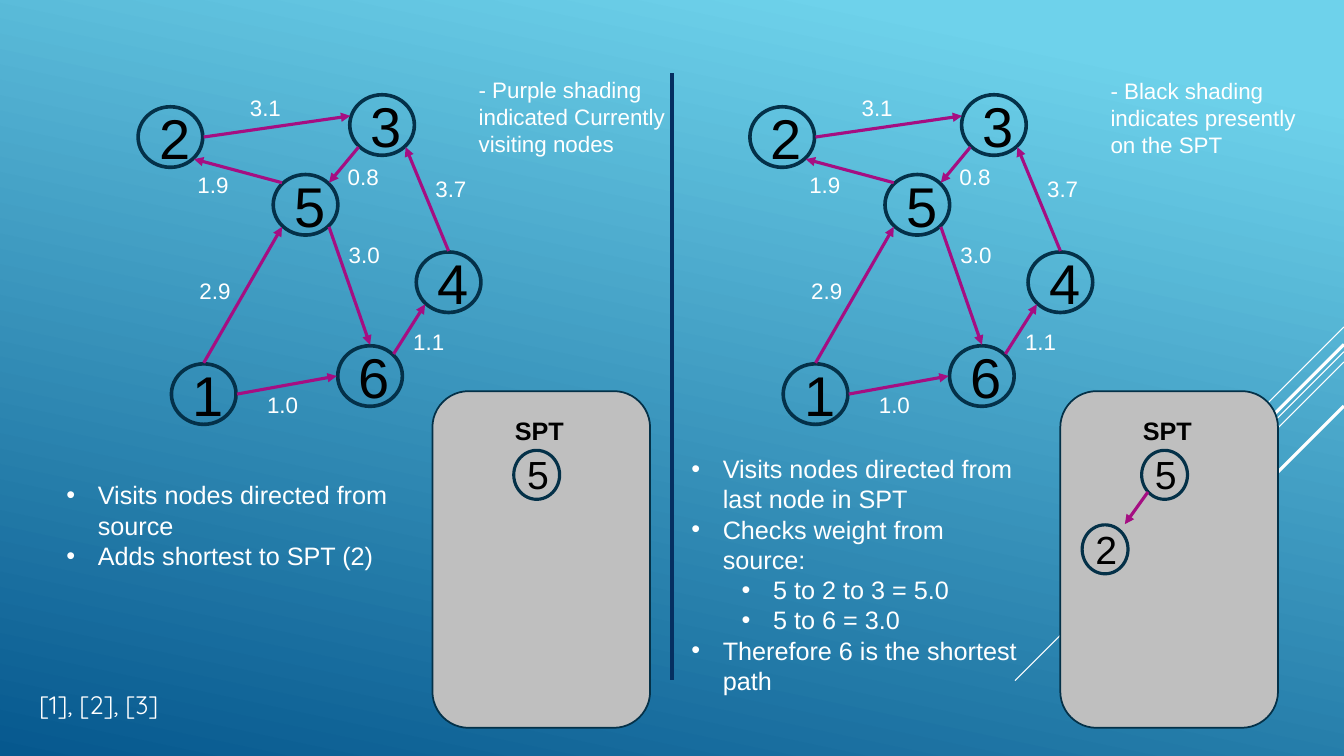
from math import cos, radians, sin

from lxml.etree import SubElement
from pptx import Presentation
from pptx.dml.color import RGBColor
from pptx.enum.shapes import MSO_CONNECTOR, MSO_SHAPE
from pptx.enum.text import MSO_AUTO_SIZE, PP_ALIGN
from pptx.oxml.ns import qn
from pptx.util import Pt

WHITE, BLACK, NAVY, OUTLINE = "FFFFFF", "000000", "052F61", "043148"
PURPLE, GRAY = "A50E82", "BFBFBF"

# Graph layout, relative to the top left of the graph
NODE_W, NODE_H = 47.5, 44.6
NODES = {"1": (23.8, 192.2), "2": (0, 8.6), "3": (151.2, 0),
         "4": (198.7, 112.3), "5": (96.5, 57), "6": (142.6, 179.3)}
# Start node, angle on its rim, end node, angle on its rim (clockwise from right)
EDGES = [("2", 0, "3", 197), ("1", 0, "6", 180), ("1", 270, "5", 135),
         ("4", 270, "3", 45), ("6", 315, "4", 135), ("3", 135, "5", 315),
         ("5", 45, "6", 270), ("5", 225, "2", 45)]
WEIGHTS = {"3.7": (205.9, 54.7), "1.1": (190.1, 164.1), "0.8": (143.3, 46.1),
           "3.0": (144, 101.5), "1.0": (85.7, 208.8), "2.9": (37.4, 127.4),
           "1.9": (36, 51.8), "3.1": (73.4, -3.6)}


def color(hex_text):
    return RGBColor.from_string(hex_text)


def add_text(s, text, x, y, w, h, size=16, font="Arial", fill=WHITE,
             bold=False, align=PP_ALIGN.LEFT, bullets=False):
    """Text is a string, or a list of (level, string) paragraphs."""
    tf = s.shapes.add_textbox(Pt(x), Pt(y), Pt(w), Pt(h)).text_frame
    tf.word_wrap = True
    tf.auto_size = MSO_AUTO_SIZE.SHAPE_TO_FIT_TEXT
    items = [(0, text)] if isinstance(text, str) else text
    for i, (level, line) in enumerate(items):
        p = tf.add_paragraph() if i else tf.paragraphs[0]
        p.level, p.alignment = level, align
        r = p.add_run()
        r.text = line
        r.font.size, r.font.name, r.font.bold = Pt(size), font, bold
        r.font.color.rgb = color(fill)
        if bullets:
            pPr = p._p.get_or_add_pPr()
            pPr.set("marL", str(int(Pt(22.5 + 36 * level))))
            pPr.set("indent", str(int(Pt(-22.5))))
            SubElement(pPr, qn("a:buFont")).set("typeface", "Arial")
            SubElement(pPr, qn("a:buChar")).set("char", "•")


def add_line(s, start, end, stroke=PURPLE, width=2.25, arrow=False):
    sp = s.shapes.add_connector(MSO_CONNECTOR.STRAIGHT,
                                *(Pt(v) for v in (*start, *end)))
    sp.line.color.rgb = color(stroke)
    sp.line.width = Pt(width)
    spPr = sp._element.spPr
    if arrow:
        SubElement(spPr.find(qn("a:ln")), qn("a:tailEnd")).set("type", "triangle")
    SubElement(spPr, qn("a:effectLst"))


def add_outlined(s, kind, x, y, w, h, fill):
    sp = s.shapes.add_shape(kind, Pt(x), Pt(y), Pt(w), Pt(h))
    sp.shadow.inherit = False
    sp.fill.solid()
    sp.fill.fore_color.rgb = color(fill)
    sp.line.color.rgb = color(OUTLINE)
    sp.line.width = Pt(1.25)
    return sp


def add_ring(s, x, y, w, h):
    add_outlined(s, MSO_SHAPE.DONUT, x, y, w, h, NAVY).adjustments[0] = 0.03


def add_backdrop(s):
    fill = s.background.fill
    fill.gradient()
    fill.gradient_angle = 258
    for stop, (position, tone) in zip(fill.gradient_stops,
                                      [(0.1, "6ED2EB"), (1, "06588E")]):
        stop.position = position
        stop.color.rgb = color(tone)
    # Diagonal rays at 45 degrees: top at the right edge, length across, width
    for top, run, width in [(233.5, 72, 0.75), (251.2, 235, 0.75),
                            (258.5, 149, 0.75), (246, 137.5, 2.25),
                            (290, 100, 2.25)]:
        add_line(s, (960, top), (960 - run, top + run), WHITE, width)


def add_graph(s, x, y):
    def rim(node, angle):
        nx, ny = NODES[node]
        a = radians(angle)
        return (x + nx + NODE_W / 2 * (1 + cos(a)),
                y + ny + NODE_H / 2 * (1 + sin(a)))

    for nx, ny in NODES.values():
        add_ring(s, x + nx, y + ny, NODE_W, NODE_H)
    for start, start_angle, end, end_angle in EDGES:
        add_line(s, rim(start, start_angle), rim(end, end_angle), arrow=True)
    for name, (nx, ny) in NODES.items():
        add_text(s, name, x + nx + 8.6, y + ny - 5.2, 31, 55.4, size=40,
                 fill=BLACK, align=PP_ALIGN.CENTER)
    for weight, (wx, wy) in WEIGHTS.items():
        add_text(s, weight, x + wx, y + wy, 47.5, 26.6)


def add_tree_panel(s, x, y, nodes, arrows=()):
    add_outlined(s, MSO_SHAPE.ROUNDED_RECTANGLE, x, y, 155.5, 240.5, GRAY)
    add_text(s, "SPT", x + 51.8, y + 13.7, 51.1, 31, size=18, fill=BLACK, bold=True)
    for name, nx, ny in nodes:
        add_ring(s, x + nx, y + ny, 33.8, 36)
        add_text(s, name, x + nx + 2.9, y + ny - 2.9, 28.1, 41, size=28,
                 fill=BLACK, align=PP_ALIGN.CENTER)
    for x1, y1, x2, y2 in arrows:
        add_line(s, (x + x1, y + y1), (x + x2, y + y2), arrow=True)


prs = Presentation()
prs.slide_width, prs.slide_height = Pt(960), Pt(540)
s = prs.slides.add_slide(prs.slide_layouts[6])

# Backdrop and divider
add_backdrop(s)
add_line(s, (480, 52.5), (480, 485.5), NAVY)

# Graphs, one per step
for left in (98, 535):
    add_graph(s, left, 67)

# Shortest path trees
root = ("5", 57.6, 41.8)
add_tree_panel(s, 308.9, 279.4, [root])
add_tree_panel(s, 757.4, 279.4, [root, ("2", 15.1, 95)], [(62.6, 72, 46.1, 95)])

# Explanations
add_text(s, [(0, "Visits nodes directed from source"),
             (0, "Adds shortest to SPT (2)")],
         40.3, 339.1, 256.3, 72.7, size=18, bullets=True)
add_text(s, [(0, "Visits nodes directed from last node in SPT"),
             (0, "Checks weight from source:"),
             (1, "5 to 2 to 3 = 5.0"),
             (1, "5 to 6 = 3.0"),
             (0, "Therefore 6 is the shortest path")],
         486.7, 320.4, 256.3, 181.4, size=18, bullets=True)

# Legends and references
add_text(s, "- Purple shading indicated Currently visiting nodes",
         334.8, 51.1, 154.8, 65.5)
add_text(s, "- Black shading indicates presently on the SPT",
         786.2, 51.8, 154.1, 65.5)
add_text(s, "[1], [2], [3]", 20.9, 488.9, 109.4, 28.8, size=18, font="Quicksand")

prs.save("out.pptx")
